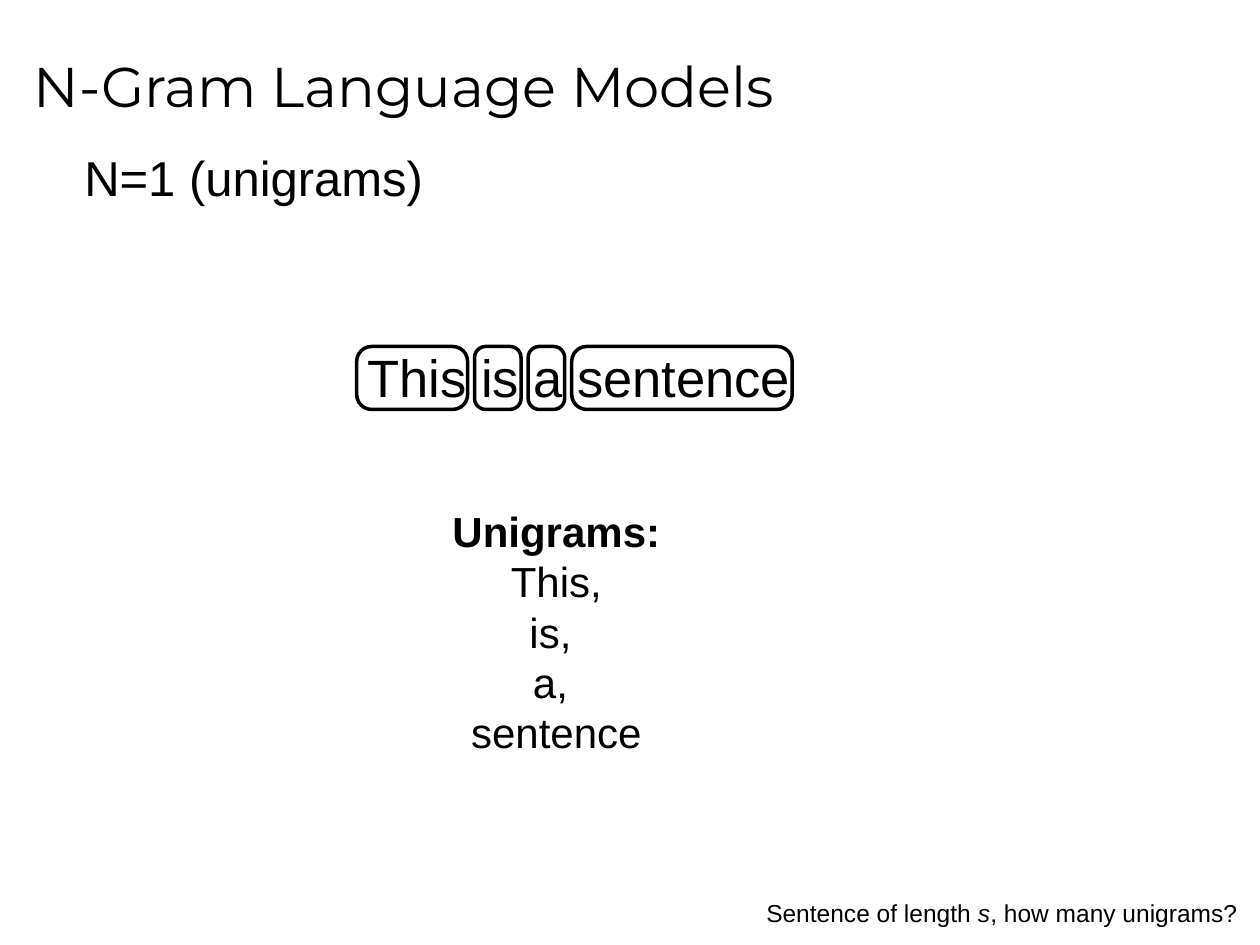
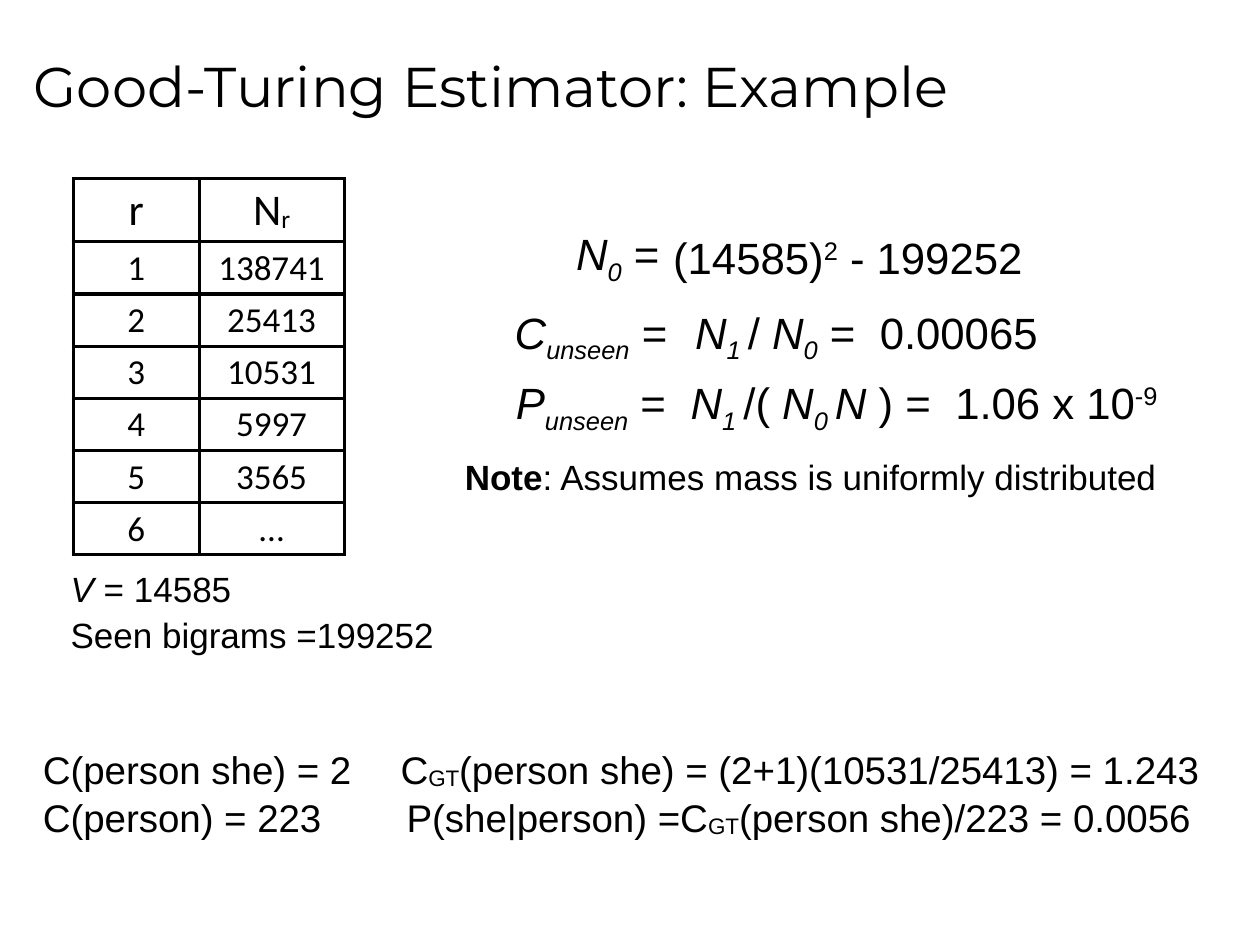
from lxml import etree
from pptx import Presentation
from pptx import util as u
from pptx.dml.color import RGBColor
from pptx.enum import shapes, text
from pptx.oxml.ns import qn

Pt = u.Pt
BLACK, WHITE = "000000", "FFFFFF"
BODY, HEADING, TABLE = "Arial", "Montserrat", "Calibri"
LEFT, CENTER, RIGHT = (text.PP_ALIGN.LEFT, text.PP_ALIGN.CENTER,
                       text.PP_ALIGN.RIGHT)
MIDDLE, TOP = text.MSO_ANCHOR.MIDDLE, text.MSO_ANCHOR.TOP
BLANK_LAYOUT = 6
PADDED = (7.2, 3.6)

# Run formats
BOLD, ITALIC = {"bold": True}, {"italic": True}
SUB = {"italic": True, "baseline": -25}
LOW = {"baseline": -6}
SUPER = {"baseline": 32}
WIDE = {"spacing": 7}


def color(value):
    return RGBColor.from_string(value)


def write(tf, paragraphs, size=20, font=BODY, fill=BLACK, align=LEFT,
          anchor=MIDDLE, margins=(0, 0), wrap=False, grow=True):
    """Fill a frame; a paragraph lists runs, each a string or (string, format)."""
    tf.word_wrap = wrap
    tf.auto_size = (text.MSO_AUTO_SIZE.SHAPE_TO_FIT_TEXT if grow
                    else text.MSO_AUTO_SIZE.NONE)
    tf.vertical_anchor = anchor
    tf.margin_left = tf.margin_right = Pt(margins[0])
    tf.margin_top = tf.margin_bottom = Pt(margins[1])
    for i, runs in enumerate(paragraphs):
        p = tf.paragraphs[0] if i == 0 else tf.add_paragraph()
        p.alignment = align
        add_runs(p, runs, size, font, fill)


def add_runs(p, runs, size, font, fill):
    for run in runs:
        words, style = (run, {}) if isinstance(run, str) else run
        r = p.add_run()
        r.text = words
        r.font.size, r.font.name = Pt(size), font
        r.font.color.rgb = color(fill)
        r.font.bold = style.get("bold", False)
        r.font.italic = style.get("italic", False)
        rpr = r._r.get_or_add_rPr()
        if "baseline" in style:
            rpr.set("baseline", str(style["baseline"] * 1000))
        if "spacing" in style:
            rpr.set("spc", str(style["spacing"] * 100))


def add_text(slide, box, paragraphs, **style):
    sp = slide.shapes.add_textbox(*map(Pt, box))
    write(sp.text_frame, paragraphs, **style)


def add_outline(slide, box, kind, line, weight):
    sp = slide.shapes.add_shape(kind, *map(Pt, box))
    sp.shadow.inherit = False
    sp.fill.background()
    sp.line.color.rgb = color(line)
    sp.line.width = Pt(weight)
    return sp


def new_slide(prs, title):
    slide = prs.slides.add_slide(prs.slide_layouts[BLANK_LAYOUT])
    add_text(slide, (12.2, 8.6, 684, 80.6), [[title]], size=32, font=HEADING,
             margins=PADDED, wrap=True, grow=False)
    return slide


# Unigram slide

def add_boxed_sentence(slide, x, y):
    height, gap = 36, 4
    add_text(slide, (x + 5, y - 0.7, 244.1, height), [["This is a sentence"]],
             size=30, align=CENTER)
    for width, corner in ((63.4, 0.238), (26.6, 0.238), (20.9, 0.306),
                          (126, 0.238)):
        sp = add_outline(slide, (x, y, width, height),
                         shapes.MSO_SHAPE.ROUNDED_RECTANGLE, BLACK, 2)
        sp.adjustments[0] = corner
        x += width + gap


def unigram_slide(prs):
    slide = new_slide(prs, "N-Gram Language Models")
    add_text(slide, (48.2, 84.2, 200.9, 33.8), [["N=1 (unigrams)"]], size=28)
    add_boxed_sentence(slide, 203.8, 198)
    add_text(slide, (257.8, 288, 120.2, 145.4),
             [[("Unigrams:", BOLD)], ["This,"], ["is, "], ["a, "],
              ["sentence"]], size=24, align=CENTER)
    add_text(slide, (408.2, 509.8, 306, 24.5),
             [["Sentence of length ", ("s", ITALIC), ", how many unigrams?"]],
             size=14, align=RIGHT, anchor=TOP, margins=PADDED, wrap=True)


# Good-Turing slide

def set_borders(cell, line, weight):
    tcpr = cell._tc.get_or_add_tcPr()
    for i, side in enumerate(("lnL", "lnR", "lnT", "lnB")):
        ln = etree.Element(qn("a:" + side), w=str(Pt(weight)))
        fill = etree.SubElement(ln, qn("a:solidFill"))
        etree.SubElement(fill, qn("a:srgbClr"), val=line)
        tcpr.insert(i, ln)


def add_count_table(slide, x, y):
    widths, head, row_height = (72, 82.8), 36, 29.6
    counts = ("138741", "25413", "10531", "5997", "3565", "...")
    rows = [(["r"], ["N", ("r", LOW)])]
    rows += [([str(r)], [count]) for r, count in enumerate(counts, 1)]
    frame = slide.shapes.add_table(
        len(rows), len(widths), Pt(x), Pt(y), Pt(sum(widths)),
        Pt(head + row_height * len(counts)))
    table = frame.table
    table.first_row = table.horz_banding = False
    for column, width in zip(table.columns, widths):
        column.width = Pt(width)
    for i, row in enumerate(rows):
        table.rows[i].height = Pt(row_height if i else head)
        for j, runs in enumerate(row):
            cell = table.cell(i, j)
            cell.fill.background()
            set_borders(cell, BLACK, 2)
            cell.vertical_anchor = MIDDLE
            cell.margin_left = cell.margin_right = Pt(2.9)
            cell.margin_top = cell.margin_bottom = Pt(2.9)
            p = cell.text_frame.paragraphs[0]
            p.alignment = CENTER
            add_runs(p, runs, 20 if i else 25, TABLE, BLACK)


def add_corpus_facts(slide, x, y):
    add_text(slide, (x, y, 92.2, 24.5), [[("V", ITALIC), " = 14585"]])
    add_text(slide, (x, y + 23, 218, 31), [["Seen bigrams =199252"]],
             wrap=True, grow=False)


def add_estimates(slide, x, y):
    """Equations as (top, left, width, runs), with the note below them."""
    n, n0, n1 = (("N", ITALIC), [("N", ITALIC), ("0", SUB)],
                 [("N", ITALIC), ("1 ", SUB)])
    unseen = [("unseen", SUB), " ="]
    equations = (
        (0, 38.1, 56.2, [*n0, " = "]),
        (0, 92.8, 203, ["(14585)", ("2", SUPER), " - 199252"]),
        (44.6, 0, 95, [("C", ITALIC), *unseen]),
        (44.6, 104.4, 200.9, [*n1, "/ ", *n0, " =", (" ", WIDE), "0.00065"]),
        (84.9, 0.7, 93.6, [("P", ITALIC), *unseen]),
        (84.9, 100, 275.8, [*n1, "/( ", n, ("0 ", SUB), n, " ) =",
                            (" ", WIDE), "1.06 x 10", ("-9", SUPER)]),
    )
    for top, left, width, runs in equations:
        add_text(slide, (x + left, y + top, width, 30.2), [runs], size=25,
                 align=CENTER)
    note = add_outline(slide, (x - 26, y + 128.1, 398.2, 24.5),
                       shapes.MSO_SHAPE.RECTANGLE, WHITE, 1)
    write(note.text_frame,
          [[("Note", BOLD), ": Assumes mass is uniformly distributed"]],
          align=CENTER)


def add_worked_example(slide, x, y):
    c_gt = ["C", ("GT", LOW)]
    lines = (
        (178.6, ["C(person she) = 2"], 200.1, 465.1,
         [*c_gt, "(person she) = (2+1)(10531/25413) = 1.243"]),
        (161.3, ["C(person) = 223"], 203.7, 456.5,
         ["P(she|person) =", *c_gt, "(person she)/223 = 0.0056"]),
    )
    for i, (count_width, count, left, width, result) in enumerate(lines):
        top = y + i * 27.4
        add_text(slide, (x, top, count_width, 26.6), [count], size=22)
        add_text(slide, (x + left, top, width, 26.6), [result], size=22,
                 align=CENTER)


def good_turing_slide(prs):
    slide = new_slide(prs, "Good-Turing Estimator: Example")
    add_count_table(slide, 41.8, 102.2)
    add_corpus_facts(slide, 40.3, 324)
    add_estimates(slide, 290.2, 131.8)
    add_worked_example(slide, 24.5, 426.2)


def main():
    prs = Presentation()
    prs.slide_width, prs.slide_height = Pt(720), Pt(540)
    unigram_slide(prs)
    good_turing_slide(prs)
    prs.save("out.pptx")


if __name__ == "__main__":
    main()
